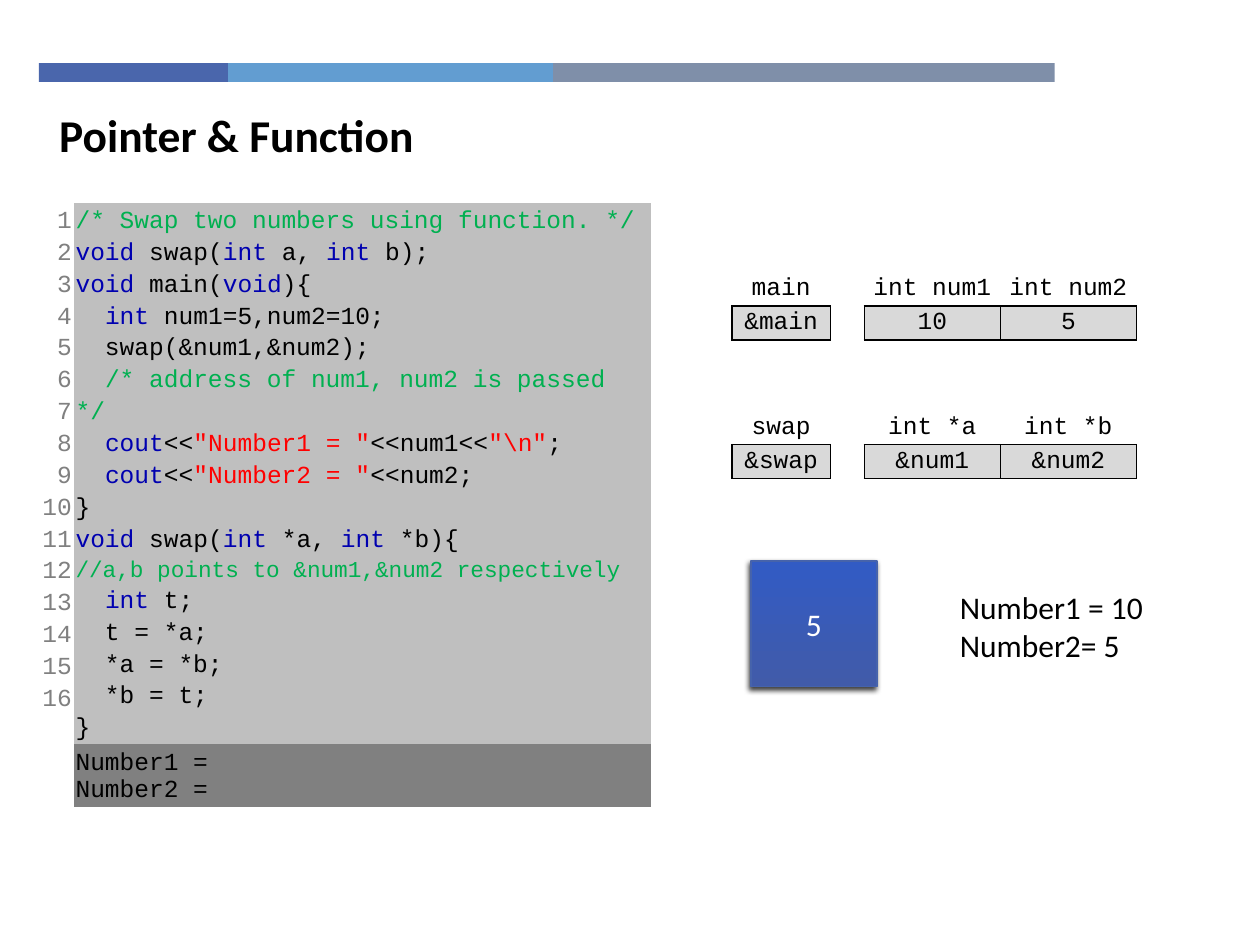
from dataclasses import dataclass
from typing import NamedTuple

from lxml.etree import SubElement
from pptx import Presentation
from pptx.dml.color import RGBColor
from pptx.enum.shapes import MSO_SHAPE
from pptx.enum.text import MSO_ANCHOR, MSO_AUTO_SIZE, PP_ALIGN
from pptx.oxml.ns import qn
from pptx.util import Emu, Inches, Pt

COLUMNS, ROWS = 100, 75
SLIDE_WIDTH, SLIDE_HEIGHT = Inches(10), Inches(7.5)
NO_STYLE = "{2D5ABB26-0587-4C30-8999-92F81FD0307C}"


@dataclass(frozen=True)
class Theme:
    heading_font: str = "Calibri"
    code_font: str = "Courier New"
    title_size: float = 26
    body_size: float = 18
    code_size: float = 14
    small_code_size: float = 13
    code_spacing: float = 1.15
    ink: str = "000000"
    white: str = "FFFFFF"
    line_number: str = "808080"
    keyword: str = "0000B0"
    comment: str = "00B050"
    literal: str = "FF0000"
    code_fill: str = "BFBFBF"
    output_fill: str = "808080"
    value_fill: str = "D9D9D9"
    square_bottom: str = "415BA9"
    square_top: str = "325BC4"
    square_line: str = "4663AB"


THEME = Theme()


class Span(NamedTuple):
    text: str
    color: str = THEME.ink
    size: float | None = None


class Box(NamedTuple):
    """Left, top, width and height in grid columns and rows."""
    left: float
    top: float
    width: float
    height: float

    def emu(self) -> tuple[Emu, Emu, Emu, Emu]:
        return across(self.left), down(self.top), across(self.width), down(self.height)


class Bar(NamedTuple):
    width: float
    color: str


class Memory(NamedTuple):
    """One function's stack frame: names above the values they hold."""
    top: float
    names: tuple[str, ...]
    values: tuple[str, ...]


def across(columns: float) -> Emu:
    return Emu(round(SLIDE_WIDTH * columns / COLUMNS))


def down(rows: float) -> Emu:
    return Emu(round(SLIDE_HEIGHT * rows / ROWS))


def keyword(text: str) -> Span:
    return Span(text, THEME.keyword)


def comment(text: str, size: float | None = None) -> Span:
    return Span(text, THEME.comment, size)


def literal(text: str) -> Span:
    return Span(text, THEME.literal)


VOID, INT, COUT = keyword("void"), keyword("int"), keyword("cout")
CODE = [
    [comment("/* Swap two numbers using function. */")],
    [VOID, " swap(", INT, " a, ", INT, " b);"],
    [VOID, " main(", VOID, "){"],
    ["  ", INT, " num1=5,num2=10;"],
    ["  swap(&num1,&num2);"],
    ["  ", comment("/* address of num1, num2 is passed */")],
    ["  ", COUT, "<<", literal('"Number1 = "'), "<<num1<<", literal(r'"\n"'), ";"],
    ["  ", COUT, "<<", literal('"Number2 = "'), "<<num2;"],
    ["}"],
    [VOID, " swap(", INT, " *a, ", INT, " *b){"],
    [comment("//a,b points to &num1,&num2 respectively", THEME.small_code_size)],
    ["  ", INT, " t;"],
    ["  t = *a;"],
    ["  *a = *b;"],
    ["  *b = t;"],
    ["}"],
]
BARS = [Bar(15, "4A66AC"), Bar(25.8, "629DD1"), Bar(39.8, "7F8FA9")]
MEMORIES = [
    Memory(21.6, ("main", "", "int num1", "int num2"), ("&main", "", "10", "5")),
    Memory(32.6, ("swap", "", "int *a", "int *b"), ("&swap", "", "&num1", "&num2")),
]


def write(frame, lines, *, font=THEME.code_font, size=THEME.code_size, color=THEME.ink,
          bold=False, align=PP_ALIGN.LEFT, spacing=1.0) -> None:
    """Write one paragraph per line; a line is a list of spans or plain strings."""
    for index, line in enumerate(lines):
        paragraph = frame.paragraphs[0] if index == 0 else frame.add_paragraph()
        paragraph.alignment, paragraph.line_spacing = align, spacing
        for part in line:
            span = part if isinstance(part, Span) else Span(part, color)
            for row, text in enumerate(span.text.split("\n")):
                if row:
                    paragraph.add_line_break()
                run = paragraph.add_run()
                run.text = text
                run.font.name, run.font.bold = font, bold
                run.font.size = Pt(span.size or size)
                run.font.color.rgb = RGBColor.from_string(span.color)
        for line_break in paragraph._p.findall(qn("a:br")):
            SubElement(line_break, qn("a:rPr"), sz=str(size * 100))
        SubElement(paragraph._p, qn("a:endParaRPr"), sz=str(size * 100))


def add_rectangle(slide, box: Box):
    rectangle = slide.shapes.add_shape(MSO_SHAPE.RECTANGLE, *box.emu())
    rectangle.shadow.inherit = False
    return rectangle


def add_plain_table(slide, box: Box, widths, heights, margins):
    """Add an unstyled table; margins are left, top, right and bottom in inches."""
    table = slide.shapes.add_table(len(heights), len(widths), *box.emu()).table
    table.first_row = table.horz_banding = False
    table._tbl.tblPr.find(qn("a:tableStyleId")).text = NO_STYLE
    for column, width in zip(table.columns, widths):
        column.width = across(width)
    for row, height in zip(table.rows, heights):
        row.height = down(height)
    for cell in table.iter_cells():
        (cell.margin_left, cell.margin_top,
         cell.margin_right, cell.margin_bottom) = map(Inches, margins)
    return table


def fill_cell(cell, color: str) -> None:
    cell.fill.solid()
    cell.fill.fore_color.rgb = RGBColor.from_string(color)


def outline_cell(cell) -> None:
    properties = cell._tc.get_or_add_tcPr()
    for side in ("lnL", "lnR", "lnT", "lnB"):
        edge = SubElement(properties, qn(f"a:{side}"), w=str(Pt(1)))
        SubElement(SubElement(edge, qn("a:solidFill")), qn("a:srgbClr"), val=THEME.ink)


def add_bars(slide) -> None:
    left = 3.1
    for bar in BARS:
        strip = add_rectangle(slide, Box(left, 5, bar.width, 1.5))
        strip.fill.solid()
        strip.fill.fore_color.rgb = RGBColor.from_string(bar.color)
        strip.line.fill.background()
        left += bar.width


def add_title(slide) -> None:
    title = slide.shapes.title
    title.left, title.top, title.width, title.height = Box(3.7, 8, 71.6, 5.4).emu()
    title.text_frame.vertical_anchor = MSO_ANCHOR.TOP
    write(title.text_frame, [["Pointer & Function"]], font=THEME.heading_font,
          size=THEME.title_size, bold=True)


def add_listing(slide) -> None:
    table = add_plain_table(slide, Box(3.1, 16.1, 48.6, 46.6), (2.8, 45.8), (41.6, 5),
                            (0.01, 0.01, 0.02, 0.01))
    numbers = "\n".join(str(number + 1) for number in range(len(CODE)))
    write(table.cell(0, 0).text_frame, [[numbers]], color=THEME.line_number,
          align=PP_ALIGN.RIGHT, spacing=THEME.code_spacing)
    write(table.cell(0, 1).text_frame, CODE, spacing=THEME.code_spacing)
    output = table.cell(1, 1).text_frame
    write(output, [["Number1 ="], ["Number2 ="]])
    output.paragraphs[0].line_spacing = THEME.code_spacing
    fill_cell(table.cell(0, 1), THEME.code_fill)
    fill_cell(table.cell(1, 1), THEME.output_fill)


def add_memory(slide, memory: Memory) -> None:
    table = add_plain_table(slide, Box(58.1, memory.top, 32.1, 5.4),
                            (7.8, 2.7, 10.8, 10.8), (2.7, 2.7), (0.06, 0, 0.06, 0))
    for row, texts in enumerate((memory.names, memory.values)):
        for column, text in enumerate(texts):
            cell = table.cell(row, column)
            cell.vertical_anchor = MSO_ANCHOR.MIDDLE
            write(cell.text_frame, [[text] if text else []], align=PP_ALIGN.CENTER)
            if row and text:
                outline_cell(cell)
                fill_cell(cell, THEME.value_fill)


def add_value_square(slide) -> None:
    square = add_rectangle(slide, Box(59.6, 44.5, 10, 10))
    square.fill.gradient()
    square.fill.gradient_angle = 90
    for stop, color in zip(square.fill.gradient_stops, (THEME.square_bottom, THEME.square_top)):
        stop.color.rgb = RGBColor.from_string(color)
    square.line.color.rgb = RGBColor.from_string(THEME.square_line)
    square.line.width = Pt(1)
    shadow = SubElement(square._element.spPr.find(qn("a:effectLst")), qn("a:outerShdw"),
                        blurRad=str(Pt(3)), dist=str(Pt(2)), dir=str(110 * 60000))
    shade = SubElement(shadow, qn("a:srgbClr"), val=THEME.ink)
    SubElement(shade, qn("a:alpha"), val="75000")
    square.text_frame.vertical_anchor = MSO_ANCHOR.MIDDLE
    write(square.text_frame, [["5"]], font=THEME.heading_font, size=THEME.body_size,
          color=THEME.white, align=PP_ALIGN.CENTER)


def add_result(slide) -> None:
    result = slide.shapes.add_textbox(*Box(75.2, 46.2, 16.7, 7.1).emu()).text_frame
    result.word_wrap = False
    result.auto_size = MSO_AUTO_SIZE.SHAPE_TO_FIT_TEXT
    write(result, [["Number1 = 10"], ["Number2= 5"]], font=THEME.heading_font,
          size=THEME.body_size)


def main() -> None:
    deck = Presentation()
    deck.slide_width, deck.slide_height = SLIDE_WIDTH, SLIDE_HEIGHT
    slide = deck.slides.add_slide(deck.slide_layouts[5])
    add_bars(slide)
    add_title(slide)
    add_listing(slide)
    for memory in MEMORIES:
        add_memory(slide, memory)
    add_value_square(slide)
    add_result(slide)
    deck.save("out.pptx")


if __name__ == "__main__":
    main()
